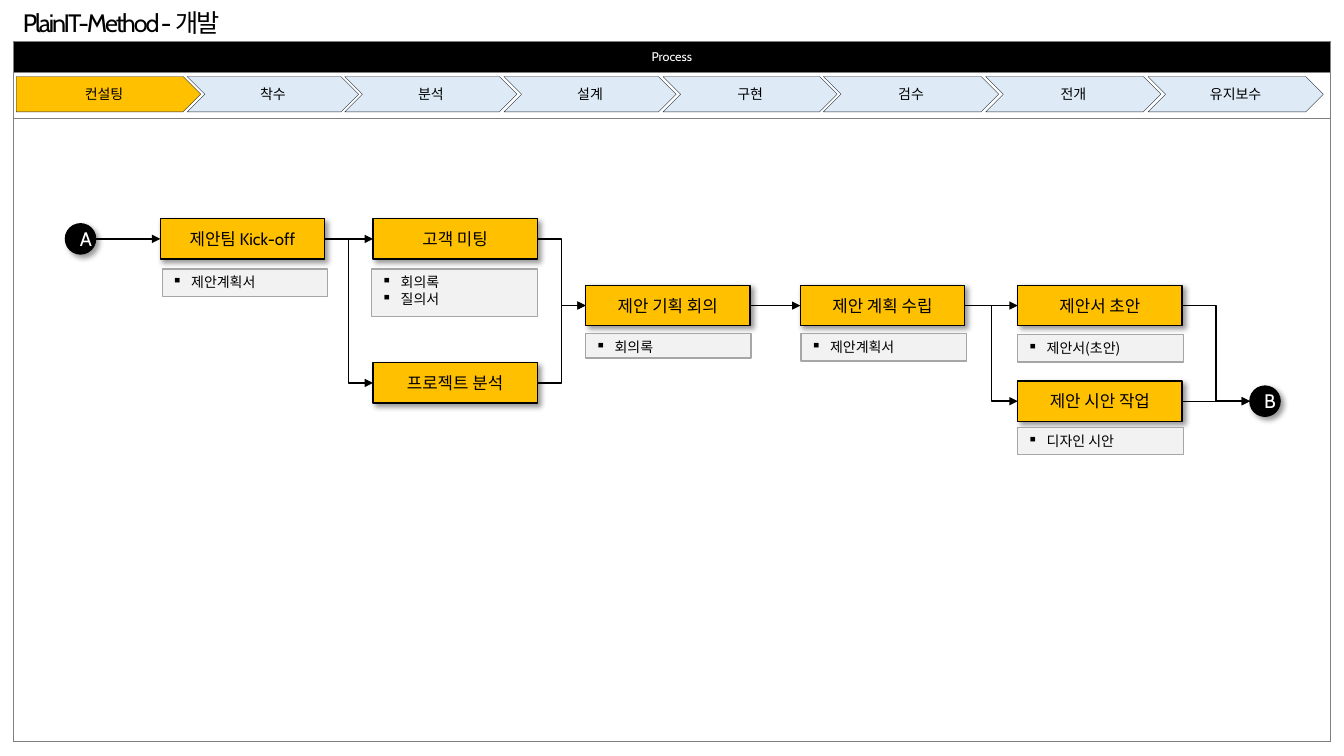
from dataclasses import dataclass

from lxml import etree
from pptx import Presentation
from pptx import util as u
from pptx.dml.color import RGBColor
from pptx.enum import shapes, text
from pptx.oxml import ns

LATIN, KOREAN = "Cabin", "Noto Sans CJK KR"
BLACK, WHITE, AMBER = "000000", "FFFFFF", "FFC000"
TASK_WIDTH, TASK_HEIGHT, CIRCLE_SIZE = 4.14, 1.02, 0.76
NOTE_WIDTH = 4.17


@dataclass
class Stage:
    label: str
    left: float
    width: float


@dataclass
class Task:
    label: str
    left: float
    top: float


@dataclass
class Note:
    items: list[str]
    left: float
    top: float
    height: float = 0.69


@dataclass
class Link:
    start: str
    end: str


STAGES = [
    Stage("컨설팅", 0.41, 4.65),
    Stage("착수", 4.72, 4.32),
    Stage("분석", 8.69, 4.34),
    Stage("설계", 12.7, 4.34),
    Stage("구현", 16.71, 4.39),
    Stage("검수", 20.75, 4.42),
    Stage("전개", 24.84, 4.42),
    Stage("유지보수", 28.93, 4.42),
]
TASKS = [
    Task("제안팀 Kick-off", 4.04, 5.51),
    Task("고객 미팅", 9.4, 5.51),
    Task("프로젝트 분석", 9.4, 9.14),
    Task("제안 기획 회의", 14.76, 7.19),
    Task("제안 계획 수립", 20.17, 7.19),
    Task("제안서 초안", 25.65, 7.19),
    Task("제안 시안 작업", 25.65, 9.6),
]
TERMINALS = [Task("A", 1.65, 5.64), Task("B", 31.5, 9.73)]
NOTES = [
    Note(["제안계획서"], 4.09, 6.78),
    Note(["회의록", "질의서"], 9.37, 6.78, 1.19),
    Note(["회의록"], 14.76, 8.41, 0.61),
    Note(["제안계획서"], 20.19, 8.41),
    Note(["제안서(초안)"], 25.65, 8.43),
    Note(["디자인 시안"], 25.65, 10.77),
]
LINKS = [
    Link("A", "제안팀 Kick-off"),
    Link("제안팀 Kick-off", "고객 미팅"),
    Link("제안팀 Kick-off", "프로젝트 분석"),
    Link("고객 미팅", "제안 기획 회의"),
    Link("프로젝트 분석", "제안 기획 회의"),
    Link("제안 기획 회의", "제안 계획 수립"),
    Link("제안 계획 수립", "제안서 초안"),
    Link("제안 계획 수립", "제안 시안 작업"),
    Link("제안서 초안", "B"),
    Link("제안 시안 작업", "B"),
]


def color(value: str) -> RGBColor:
    return RGBColor.from_string(value)


def add_xml(parent, tag: str, **attributes: str):
    return etree.SubElement(parent, ns.qn(tag), attributes)


def style_text(para, size: float, ink: str = BLACK, font: str = LATIN) -> None:
    for span in para.runs:
        span.font.size = u.Pt(size)
        span.font.name = font
        span.font.color.rgb = color(ink)
        add_xml(span._r.get_or_add_rPr(), "a:ea", typeface=KOREAN)


def add_box(page, kind, left: float, top: float, width: float, height: float,
            fill: str, line: str, weight: float):
    box = page.shapes.add_shape(kind, u.Cm(left), u.Cm(top), u.Cm(width), u.Cm(height))
    box.fill.solid()
    box.fill.fore_color.rgb = color(fill)
    box.line.color.rgb = color(line)
    box.line.width = u.Pt(weight)
    box.shadow.inherit = False
    return box


def add_label(box, label: str, size: float, ink: str = BLACK) -> None:
    box.text_frame.text = label
    box.text_frame.vertical_anchor = text.MSO_ANCHOR.MIDDLE
    para = box.text_frame.paragraphs[0]
    para.alignment = text.PP_ALIGN.CENTER
    style_text(para, size, ink)


def add_shadow(box) -> None:
    effects = box._element.spPr.find(ns.qn("a:effectLst"))
    shadow = add_xml(effects, "a:outerShdw", blurRad=str(u.Pt(4)), dist=str(u.Pt(3)),
                     dir="2700000", algn="tl", rotWithShape="0")
    add_xml(add_xml(shadow, "a:srgbClr", val=BLACK), "a:alpha", val="40000")


def add_frame(page) -> None:
    frame = page.shapes.add_table(3, 1, u.Cm(0.33), u.Cm(1.04), u.Cm(33.2), u.Cm(17.63))
    table = frame.table
    table.first_row = table.horz_banding = False
    for row, height in zip(table.rows, (0.79, 1.14, 15.7)):
        row.height = u.Cm(height)
    for cell in table.iter_cells():
        properties = cell._tc.get_or_add_tcPr()
        for side in ("a:lnL", "a:lnR", "a:lnT", "a:lnB"):
            border = add_xml(properties, side, w=str(u.Pt(0.5)))
            add_xml(add_xml(border, "a:solidFill"), "a:srgbClr", val="808080")
        cell.fill.background()
    header = table.cell(0, 0)
    header.fill.solid()
    header.fill.fore_color.rgb = color(BLACK)
    header.vertical_anchor = text.MSO_ANCHOR.MIDDLE
    header.text_frame.text = "Process"
    para = header.text_frame.paragraphs[0]
    para.alignment = text.PP_ALIGN.CENTER
    style_text(para, 9, WHITE)


def add_title(page) -> None:
    box = page.shapes.add_textbox(u.Cm(0.33), u.Cm(0.05), u.Cm(5.77), u.Cm(1.02))
    box.text_frame.word_wrap = False
    box.text_frame.text = "PlainIT-Method - 개발"
    para = box.text_frame.paragraphs[0]
    style_text(para, 18)
    para.runs[0]._r.get_or_add_rPr().set("spc", "-150")


def add_stage(page, stage: Stage, active: bool) -> None:
    kind = shapes.MSO_SHAPE.PENTAGON if active else shapes.MSO_SHAPE.CHEVRON
    box = add_box(page, kind, stage.left, 1.93, stage.width, 0.89,
                  AMBER if active else "DEEBF7", "222A35", 0.25)
    add_label(box, stage.label, 10)


def add_task(page, task: Task):
    box = add_box(page, shapes.MSO_SHAPE.RECTANGLE, task.left, task.top,
                  TASK_WIDTH, TASK_HEIGHT, AMBER, BLACK, 1)
    add_label(box, task.label, 12)
    add_shadow(box)
    return box


def add_terminal(page, task: Task):
    box = add_box(page, shapes.MSO_SHAPE.OVAL, task.left, task.top,
                  CIRCLE_SIZE, CIRCLE_SIZE, BLACK, BLACK, 1)
    add_label(box, task.label, 14, WHITE)
    add_shadow(box)
    return box


def add_note(page, note: Note) -> None:
    box = add_box(page, shapes.MSO_SHAPE.RECTANGLE, note.left, note.top,
                  NOTE_WIDTH, note.height, "F2F2F2", "A6A6A6", 1)
    box.text_frame.text = "\n".join(note.items)
    box.text_frame.vertical_anchor = text.MSO_ANCHOR.TOP
    for para in box.text_frame.paragraphs:
        para.alignment = text.PP_ALIGN.LEFT
        properties = para._p.get_or_add_pPr()
        properties.set("marL", str(u.Cm(0.48)))
        properties.set("indent", str(-u.Cm(0.48)))
        add_xml(properties, "a:buChar", char="▪")
        style_text(para, 10, font=KOREAN)


def add_link(page, start, end) -> None:
    start_y, end_y = start.top + start.height // 2, end.top + end.height // 2
    level = abs(start_y - end_y) < u.Cm(0.05)
    kind = shapes.MSO_CONNECTOR.STRAIGHT if level else shapes.MSO_CONNECTOR.ELBOW
    arrow = page.shapes.add_connector(kind, start.left + start.width, start_y, end.left, end_y)
    arrow.line.color.rgb = color(BLACK)
    arrow.line.width = u.Pt(1)
    add_xml(arrow.line._get_or_add_ln(), "a:tailEnd", type="triangle")
    add_xml(arrow._element.spPr, "a:effectLst")


def main() -> None:
    deck = Presentation()
    deck.slide_width, deck.slide_height = u.Cm(33.87), u.Cm(19.05)
    page = deck.slides.add_slide(deck.slide_layouts[6])
    add_frame(page)
    add_title(page)
    for index, stage in enumerate(STAGES):
        add_stage(page, stage, index == 0)
    boxes = {task.label: add_task(page, task) for task in TASKS}
    boxes |= {task.label: add_terminal(page, task) for task in TERMINALS}
    for note in NOTES:
        add_note(page, note)
    for link in LINKS:
        add_link(page, boxes[link.start], boxes[link.end])
    deck.save("out.pptx")


if __name__ == "__main__":
    main()
